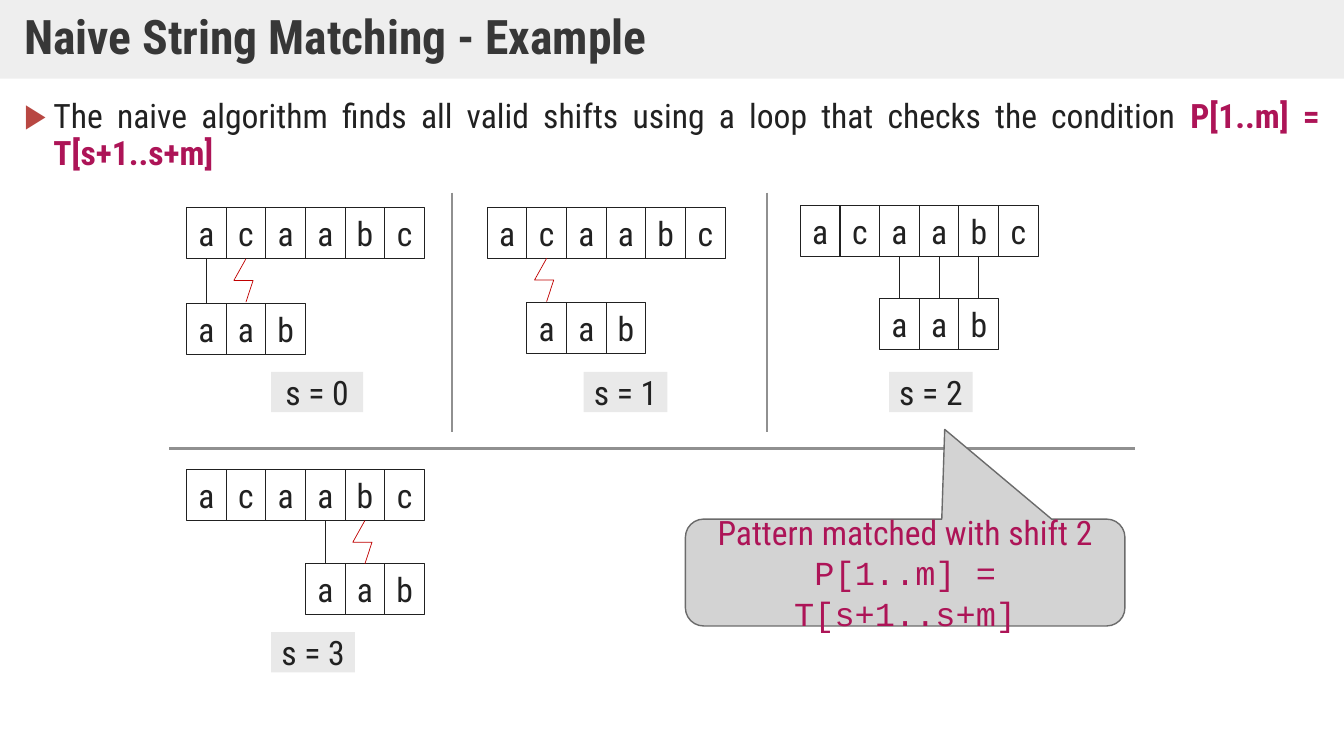
from lxml.etree import SubElement
from pptx import Presentation
from pptx.dml.color import RGBColor
from pptx.enum.shapes import MSO_CONNECTOR as CONN, MSO_SHAPE as SHAPE
from pptx.enum.text import MSO_ANCHOR as ANCHOR, MSO_AUTO_SIZE as FIT, PP_ALIGN as ALIGN
from pptx.oxml.ns import qn
from pptx.util import Inches, Pt

COLORS = {"bar": "DFDFDF", "title": "373737", "ink": "212121", "accent": "AD1457",
          "bullet": "B84742", "mismatch": "C00000", "label": "E9E9E9",
          "divider": "909090", "callout": "D3D3D3", "outline": "6B6B6B"}
FONT, CODE_FONT = "Roboto Condensed", "Courier New"
TEXT, PATTERN = "acaabc", "aab"
CONDITION = "P[1..m] = T[s+1..s+m]"

# Lengths are percentages of the slide's width and height
CELL_W, CELL_H = 2.95, 6.73
LABEL_H = 5.33
BOLT = [(0, 0), (-0.9, 2.87), (0.53, 2.87), (0, 5.73)]


class Deck:
    def __init__(self, width, height):
        self.prs = Presentation()
        self.prs.slide_width, self.prs.slide_height = Inches(width), Inches(height)
        self.slide = self.prs.slides.add_slide(self.prs.slide_layouts[1])

    def x(self, share):
        return round(self.prs.slide_width * share / 100)

    def y(self, share):
        return round(self.prs.slide_height * share / 100)

    def box(self, left, top, width, height):
        return self.x(left), self.y(top), self.x(width), self.y(height)

    def color(self, name):
        return RGBColor.from_string(COLORS[name])

    def stroke(self, line, color, width):
        line.color.rgb = self.color(color)
        line.width = Pt(width)

    def run(self, p, text, color="ink", size=24, font=FONT, bold=False):
        r = p.add_run()
        r.text = text
        r.font.name, r.font.size, r.font.bold = font, Pt(size), bold
        r.font.color.rgb = self.color(color)

    def place(self, sp, *box):
        sp.left, sp.top, sp.width, sp.height = self.box(*box)
        sp.text_frame.auto_size = FIT.NONE
        p = sp.text_frame.paragraphs[0]
        p.line_spacing = 0.9
        return p

    def title(self, text, *box):
        sp = self.slide.shapes.title
        p = self.place(sp, *box)
        sp.fill.solid()
        sp.fill.fore_color.rgb = self.color("bar")
        srgb = sp.fill._xPr.find(".//" + qn("a:srgbClr"))
        SubElement(srgb, qn("a:alpha"), val="50000")
        tf = sp.text_frame
        tf.vertical_anchor = ANCHOR.MIDDLE
        tf.margin_left = tf.margin_right = Inches(0.24)
        tf.margin_top = tf.margin_bottom = Inches(0.12)
        p.alignment = ALIGN.LEFT
        self.run(p, text, "title", 34, bold=True)

    def bullet(self, runs, *box):
        p = self.place(self.slide.placeholders[1], *box)
        p.alignment = ALIGN.JUSTIFY
        p.space_before = Pt(10)
        pPr = p._p.get_or_add_pPr()
        pPr.set("marL", str(Inches(0.29)))
        pPr.set("indent", str(-Inches(0.29)))
        SubElement(SubElement(pPr, qn("a:buClr")), qn("a:srgbClr"), val=COLORS["bullet"])
        SubElement(pPr, qn("a:buChar"), char="▶")
        for text, color, bold in runs:
            self.run(p, text, color, bold=bold)

    def shape(self, kind, lines, *box, fill=None, line=None, line_width=0.75):
        """Add a shape with centred lines, each a (text, color, font) tuple."""
        sp = self.slide.shapes.add_shape(kind, *self.box(*box))
        sp.shadow.inherit = False
        if fill:
            sp.fill.solid()
            sp.fill.fore_color.rgb = self.color(fill)
        else:
            sp.fill.background()
        if line:
            self.stroke(sp.line, line, line_width)
        else:
            sp.line.fill.background()
        tf = sp.text_frame
        tf.word_wrap = True
        tf.vertical_anchor = ANCHOR.MIDDLE
        for i, (text, color, font) in enumerate(lines):
            p = tf.add_paragraph() if i else tf.paragraphs[0]
            p.alignment = ALIGN.CENTER
            self.run(p, text, color, font=font)
        return sp

    def line(self, x1, y1, x2, y2, color, width):
        cx = self.slide.shapes.add_connector(
            CONN.STRAIGHT, self.x(x1), self.y(y1), self.x(x2), self.y(y2))
        self.stroke(cx.line, color, width)
        SubElement(cx._element.spPr, qn("a:effectLst"))

    def bolt(self, left, top):
        points = [(self.x(left + dx), self.y(top + dy)) for dx, dy in BOLT]
        builder = self.slide.shapes.build_freeform(*points[0])
        builder.add_line_segments(points[1:], close=False)
        sp = builder.convert_to_shape()
        sp.shadow.inherit = False
        sp.fill.background()
        self.stroke(sp.line, "mismatch", 0.5)

    def cells(self, word, left, top):
        for i, letter in enumerate(word):
            self.shape(SHAPE.RECTANGLE, [(letter, "ink", FONT)],
                       left + i * CELL_W, top, CELL_W, CELL_H, line="ink")

    def attempt(self, shift, left, text_top, pattern_top, label_left, label_top, label_w):
        """Draw the pattern under the text and compare up to the first mismatch."""
        start, bottom = left + shift * CELL_W, text_top + CELL_H
        self.cells(TEXT, left, text_top)
        self.cells(PATTERN, start, pattern_top)
        for i, letter in enumerate(PATTERN):
            middle = start + (i + 0.5) * CELL_W
            if letter != TEXT[shift + i]:
                self.bolt(middle, bottom)
                break
            self.line(middle, bottom, middle, pattern_top, "ink", 0.5)
        self.shape(SHAPE.RECTANGLE, [(f"s = {shift}", "ink", FONT)],
                   label_left, label_top, label_w, LABEL_H, fill="label")


def main():
    deck = Deck(13.33, 7.5)

    # Title bar and introduction
    deck.title("Naive String Matching - Example", 0, 0, 100, 10.4)
    deck.bullet([("The naive algorithm finds all valid shifts using a loop that checks "
                  "the condition ", "ink", False), (CONDITION, "accent", True)],
                1.05, 12.53, 97.9, 81.47)

    # One attempt per shift
    attempts = [(13.88, 27.5, 40.13, 20.18, 49.2, 6.83),
                (36.25, 27.45, 40, 43.43, 49.2, 6.23),
                (59.55, 27.2, 39.47, 66.15, 49.2, 6.23),
                (13.88, 62.13, 74.53, 20.18, 83.6, 6.23)]
    for shift, layout in enumerate(attempts):
        deck.attempt(shift, *layout)

    # Dividers
    for left in (33.6, 57.08):
        deck.line(left, 25.47, left, 57.2, "divider", 1.5)
    deck.line(12.6, 59.33, 84.45, 59.33, "divider", 1.5)

    # Callout for the valid shift
    callout = deck.shape(SHAPE.ROUNDED_RECTANGULAR_CALLOUT,
                         [("Pattern matched with shift 2", "accent", FONT),
                          (CONDITION, "accent", CODE_FONT)],
                         51, 68.67, 32.7, 14.13,
                         fill="callout", line="outline", line_width=1)
    for i, value in enumerate((0.09, -1.34, 0.17)):
        callout.adjustments[i] = value

    deck.prs.save("out.pptx")


if __name__ == "__main__":
    main()
